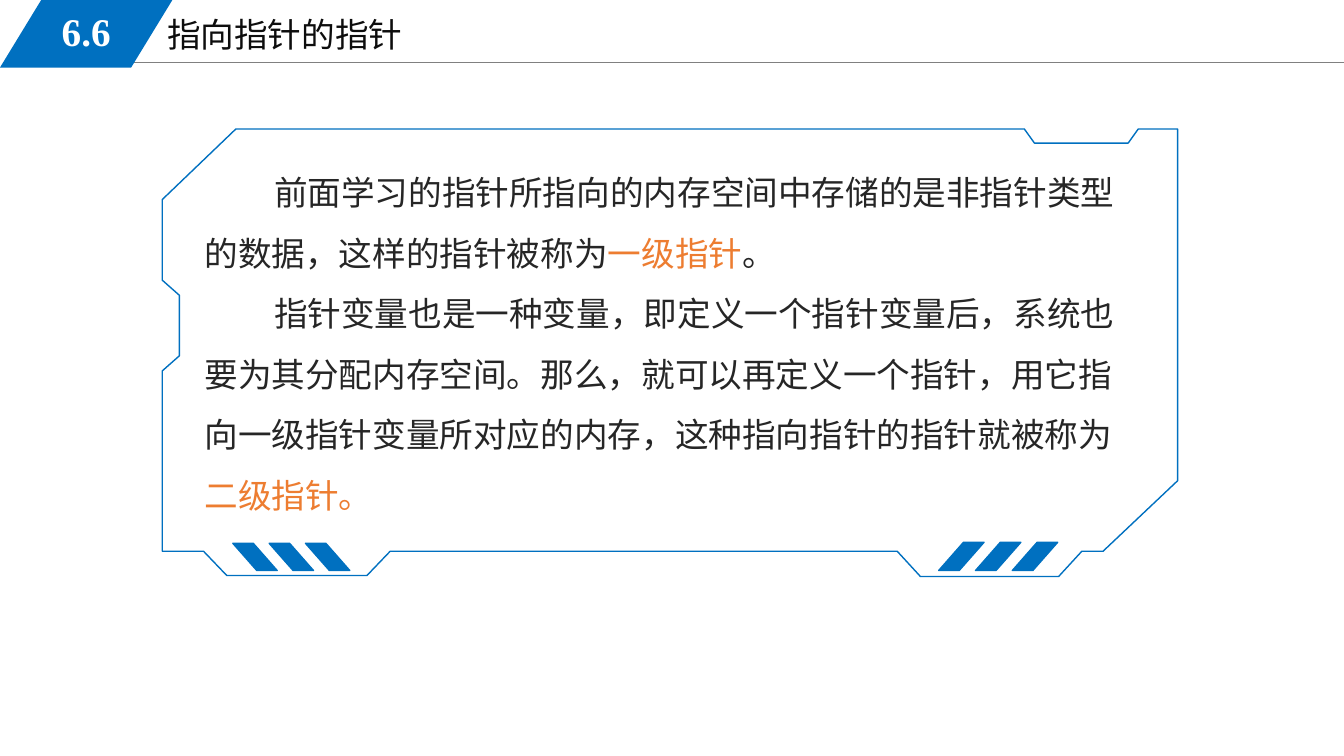
from lxml import etree
from pptx import Presentation
from pptx.dml.color import RGBColor
from pptx.enum import shapes, text
from pptx.oxml.ns import qn
from pptx.util import Inches, Pt

BLUE = RGBColor(0x00, 0x70, 0xC0)
ORANGE = RGBColor(0xED, 0x7D, 0x31)
GRAY = RGBColor(0x80, 0x80, 0x80)
BODY = RGBColor(0x26, 0x26, 0x26)
TITLE = RGBColor(0x0D, 0x0D, 0x0D)
WHITE = RGBColor(0xFF, 0xFF, 0xFF)
LATIN_FONT = "Times New Roman"
CHINESE_FONT = "Noto Sans CJK SC"

deck = Presentation()
deck.slide_width, deck.slide_height = Inches(13.33), Inches(7.5)
page = deck.slides.add_slide(deck.slide_layouts[6])


def add_text(left, top, width, height, paragraphs, font, size, bold=False):
    box = page.shapes.add_textbox(
        Inches(left), Inches(top), Inches(width), Inches(height))
    frame = box.text_frame
    frame.word_wrap = True
    for index, runs in enumerate(paragraphs):
        para = frame.paragraphs[0] if index == 0 else frame.add_paragraph()
        for words, color in runs:
            span = para.add_run()
            span.text = words
            span.font.name = font
            span.font.size = Pt(size)
            span.font.bold = bold
            span.font.color.rgb = color
            east_asian = etree.SubElement(span._r.get_or_add_rPr(), qn("a:ea"))
            east_asian.set("typeface", CHINESE_FONT)
    return frame


def add_parallelogram(left, top, width, height, slant):
    shape = page.shapes.add_shape(
        shapes.MSO_SHAPE.PARALLELOGRAM,
        Inches(left), Inches(top), Inches(width), Inches(height))
    shape.adjustments[0] = slant
    shape.shadow.inherit = False
    shape.fill.solid()
    shape.fill.fore_color.rgb = BLUE
    shape.line.color.rgb = BLUE
    shape.line.width = Pt(1)
    return shape


# Header: rule, title and section number
rule = page.shapes.add_connector(
    shapes.MSO_CONNECTOR.STRAIGHT,
    Inches(1.13), Inches(0.62), Inches(13.33), Inches(0.62))
rule.line.color.rgb = GRAY
rule.line.width = Pt(0.75)
etree.SubElement(rule._element.spPr, qn("a:effectLst"))

add_text(1.56, 0.09, 5.67, 0.51, [[("指向指针的指针", TITLE)]], LATIN_FONT, 24)
badge = add_parallelogram(0, 0, 1.71, 0.67, 0.61)
badge.line.fill.background()
number = add_text(0.25, 0.02, 1.21, 0.58, [[("6.6", WHITE)]], LATIN_FONT, 28, True)
number.vertical_anchor = text.MSO_ANCHOR.MIDDLE
number.paragraphs[0].alignment = text.PP_ALIGN.CENTER

# Body text
explanation = [
    [("前面学习的指针所指向的内存空间中存储的是非指针类型的数据，这样的指针被称为", BODY),
     ("一级指针", ORANGE),
     ("。", BODY)],
    [("指针变量也是一种变量，即定义一个指针变量后，系统也要为其分配内存空间。"
      "那么，就可以再定义一个指针，用它指向一级指针变量所对应的内存，"
      "这种指向指针的指针就被称为", BODY),
     ("二级指针。", ORANGE)],
]
body = add_text(1.93, 1.46, 9.48, 3.74, explanation, CHINESE_FONT, 24)
for para in body.paragraphs:
    para.line_spacing = 1.5
    properties = para._p.get_or_add_pPr()
    properties.set("marL", "0")
    properties.set("indent", str(Inches(0.69)))

# Notched frame around the body
outline = [
    (9.13, 5.72), (10.5, 5.72), (10.73, 5.47), (10.94, 5.47), (11.68, 4.77),
    (11.68, 1.28), (11.29, 1.28), (11.19, 1.42), (10.26, 1.42), (10.16, 1.28),
    (2.34, 1.28), (1.61, 1.98), (1.61, 2.78), (1.78, 2.93), (1.78, 3.53),
    (1.61, 3.68), (1.61, 5.47), (2.02, 5.47), (2.25, 5.71), (3.64, 5.71),
    (3.87, 5.47), (8.9, 5.47),
]
corners = [(Inches(x), Inches(y)) for x, y in outline]
builder = page.shapes.build_freeform(*corners[0])
builder.add_line_segments(corners[1:], close=True)
border = builder.convert_to_shape()
border.shadow.inherit = False
border.fill.background()
border.line.color.rgb = BLUE
border.line.width = Pt(1)

# Slanted stripes in the two lower tabs, mirrored on the left
for index in range(3):
    add_parallelogram(9.31 + 0.365 * index, 5.38, 0.45, 0.28, 0.88)
    stripe = add_parallelogram(2.31 + 0.36 * index, 5.39, 0.44, 0.27, 0.88)
    stripe._element.spPr.find(qn("a:xfrm")).set("flipH", "1")

deck.save("out.pptx")
